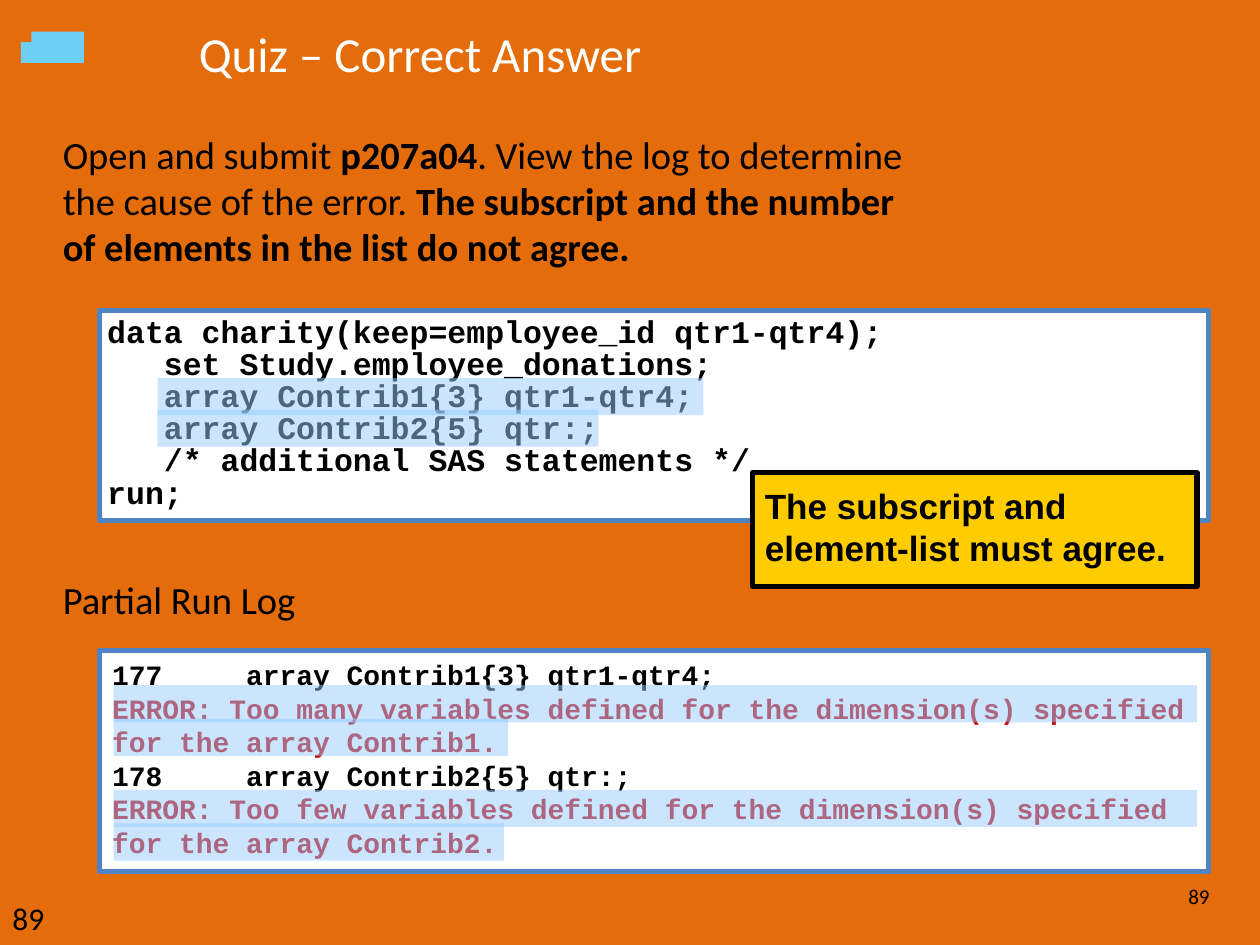
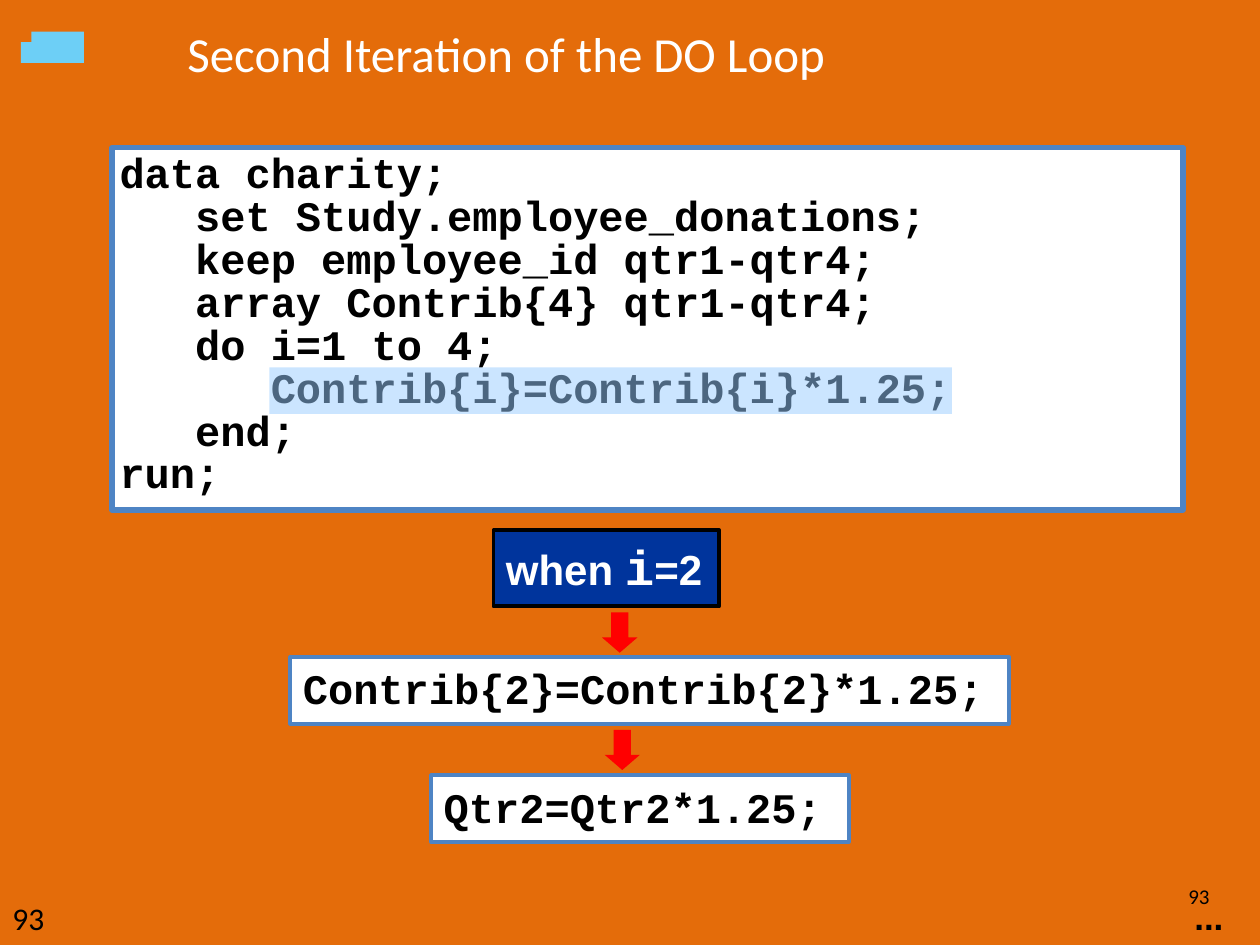
from typing import NamedTuple

from lxml.etree import SubElement
from pptx import Presentation
from pptx.dml.color import RGBColor
from pptx.enum.shapes import MSO_SHAPE
from pptx.enum.text import MSO_ANCHOR, PP_ALIGN
from pptx.oxml.ns import qn
from pptx.util import Pt

ORANGE = RGBColor(0xE4, 0x6C, 0x0A)
SKY = RGBColor(0x6D, 0xCF, 0xF6)
BLACK = RGBColor(0, 0, 0)
WHITE = RGBColor(0xFF, 0xFF, 0xFF)
FRAME_BLUE = RGBColor(0x4E, 0x84, 0xC4)
HIGHLIGHT = RGBColor(0x99, 0xCC, 0xFF)
ERROR_RED = RGBColor(0xC0, 0, 0)
ARROW_RED = RGBColor(0xFF, 0, 0)
YELLOW = RGBColor(0xFF, 0xCC, 0)
NAVY = RGBColor(0, 0x34, 0x9C)
SANS, LABEL, MONO = "Calibri", "Arial", "Courier New"


class Style(NamedTuple):
    """Character formatting of a run."""
    font: str
    size: float
    color: RGBColor = BLACK
    bold: bool = False


BODY = Style(SANS, 22)
BODY_BOLD = BODY._replace(bold=True)
TITLE = Style(SANS, 28, WHITE)
CODE = Style(MONO, 24, BLACK, True)
SMALL_CODE = CODE._replace(size=18)
LOG = CODE._replace(size=16)
LOG_ERROR = LOG._replace(color=ERROR_RED)


def add_run(paragraph, text, style):
    """Append one formatted run."""
    run = paragraph.add_run()
    run.text = text
    run.font.name = style.font
    run.font.size = Pt(style.size)
    run.font.bold = style.bold
    run.font.color.rgb = style.color


def write(shape, paragraphs, insets=(7.2, 3.6), anchor=MSO_ANCHOR.TOP,
          align=PP_ALIGN.LEFT, spacing=None, wrap=True):
    """Fill a shape with paragraphs, each a list of (text, style) runs."""
    frame = shape.text_frame
    frame.word_wrap = wrap
    frame.vertical_anchor = anchor
    frame.margin_left = frame.margin_right = Pt(insets[0])
    frame.margin_top = frame.margin_bottom = Pt(insets[1])
    for index, runs in enumerate(paragraphs):
        paragraph = frame.add_paragraph() if index else frame.paragraphs[0]
        paragraph.alignment = align
        if spacing:
            paragraph.line_spacing = spacing
        for text, style in runs:
            for part, line in enumerate(text.split("\n")):
                if part:
                    paragraph.add_line_break()
                add_run(paragraph, line, style)


def add_text(slide, bounds, paragraphs, **layout):
    """Add a text box."""
    write(slide.shapes.add_textbox(*map(Pt, bounds)), paragraphs, **layout)


def add_block(slide, bounds, fill, line=None, weight=3, kind=MSO_SHAPE.RECTANGLE):
    """Add a flat filled shape with an optional outline."""
    block = slide.shapes.add_shape(kind, *map(Pt, bounds))
    block.shadow.inherit = False
    block.fill.solid()
    block.fill.fore_color.rgb = fill
    if line is None:
        block.line.fill.background()
    else:
        block.line.color.rgb = line
        block.line.width = Pt(weight)
    return block


def add_listing(slide, bounds, lines, style):
    """Add a framed program listing."""
    listing = add_block(slide, bounds, WHITE, FRAME_BLUE)
    write(listing, [[(line, style)] for line in lines], insets=(4.3, 4.0), spacing=0.85)


def add_highlight(slide, *bounds):
    """Add a half-transparent band over a line of code."""
    band = add_block(slide, bounds, HIGHLIGHT)
    color = band.fill._xPr.find(qn("a:solidFill"))[0]
    SubElement(color, qn("a:alpha"), val="50000")


def add_statement(slide, bounds, code):
    """Add a framed single statement."""
    statement = add_block(slide, bounds, WHITE, FRAME_BLUE, 2.25)
    write(statement, [[(code, CODE)]])


def add_down_arrow(slide, left, top):
    """Add a small red arrow between two steps."""
    arrow = add_block(slide, (left, top, 20.2, 23), ARROW_RED, kind=MSO_SHAPE.DOWN_ARROW)
    arrow.adjustments[0] = 0.49
    arrow.adjustments[1] = 0.43


def start_slide(deck, title, number, title_left=100):
    """Add a slide with the corner mark, title and page numbers."""
    slide = deck.slides.add_slide(deck.slide_layouts[6])
    add_block(slide, (18, 18, 30, 18), SKY)
    add_block(slide, (12, 24, 12, 12), SKY)
    add_text(slide, (title_left, 9, 600, 42), [[(title, TITLE)]], anchor=MSO_ANCHOR.MIDDLE)
    add_text(slide, (645.8, 498, 52.5, 28), [[(number, Style(SANS, 12))]],
             anchor=MSO_ANCHOR.MIDDLE, align=PP_ALIGN.RIGHT)
    add_text(slide, (0, 510, 42, 30), [[(number, Style(SANS, 18))]])
    return slide


def build_quiz(deck):
    """Build the quiz answer slide."""
    slide = start_slide(deck, "Quiz – Correct Answer", "89", 106.5)
    add_text(slide, (28.8, 71.3, 667, 90), [[
        ("Open and submit ", BODY),
        ("p207a04", BODY_BOLD),
        (". View the log to determine\nthe cause of the error. ", BODY),
        ("The subscript and the number\nof elements in the list do not agree.", BODY_BOLD),
    ]])
    add_text(slide, (28.8, 325.7, 300, 36), [[("Partial Run Log", BODY)]])
    add_listing(slide, (57, 177.5, 633.5, 120), [
        "data charity(keep=employee_id qtr1-qtr4);",
        "   set Study.employee_donations;",
        "   array Contrib1{3} qtr1-qtr4;",
        "   array Contrib2{5} qtr:;",
        "   /* additional SAS statements */",
        "run;",
    ], SMALL_CODE)
    log = add_block(slide, (57, 371.5, 633.5, 126.5), WHITE, FRAME_BLUE)
    error = "ERROR: Too {} variables defined for the dimension(s) specified for the array {}."
    write(log, [
        [("177     array Contrib1{3} qtr1-qtr4;", LOG)],
        [(error.format("many", "Contrib1"), LOG_ERROR)],
        [("178     array Contrib2{5} qtr:;", LOG)],
        [(error.format("few", "Contrib2"), LOG_ERROR)],
    ], insets=(7.2, 4.2))
    for top, tail_width in ((391.5, 225.4), (451.3, 223)):
        add_highlight(slide, 65, top, 619, 21.3)
        add_highlight(slide, 65, top + 19.2, tail_width, 21.3)
    callout = add_block(slide, (430, 270, 254, 65), YELLOW, BLACK)
    write(callout, [[("The subscript and element-list must agree.", Style(LABEL, 20, BLACK, True))]],
          insets=(7.2, 7))
    for top, width in ((216, 312), (234, 252)):
        add_highlight(slide, 90, top, width, 21.3)


def build_iteration(deck):
    """Build the second loop iteration slide."""
    slide = start_slide(deck, "Second Iteration of the DO Loop", "93")
    condition = add_block(slide, (282, 303, 129, 43.5), NAVY, BLACK, 2.25)
    words = Style(LABEL, 24, WHITE, True)
    write(condition, [[("when ", words), ("i", Style(MONO, 28, WHITE, True)), ("=2", words)]],
          wrap=False)
    add_text(slide, (675.4, 508.3, 36, 31), [[("...", Style(LABEL, 20, BLACK, True))]], wrap=False)
    add_listing(slide, (64, 84.4, 612, 207), [
        "data charity;",
        "   set Study.employee_donations;",
        "   keep employee_id qtr1-qtr4;",
        "   array Contrib{4} qtr1-qtr4;",
        "   do i=1 to 4;",
        "      Contrib{i}=Contrib{i}*1.25;",
        "   end;",
        "run;",
    ], CODE)
    add_statement(slide, (166, 375.3, 410.5, 38.2), "Contrib{2}=Contrib{2}*1.25;")
    add_statement(slide, (246.5, 443, 238.5, 38.2), "Qtr2=Qtr2*1.25;")
    add_down_arrow(slide, 344, 350)
    add_down_arrow(slide, 345.5, 417)
    add_highlight(slide, 154, 210, 390, 26.5)


def main():
    """Build and save the deck."""
    deck = Presentation()
    deck.slide_width, deck.slide_height = Pt(720), Pt(540)
    backdrop = deck.slide_master.background.fill
    backdrop.solid()
    backdrop.fore_color.rgb = ORANGE
    build_quiz(deck)
    build_iteration(deck)
    deck.save("out.pptx")


if __name__ == "__main__":
    main()
